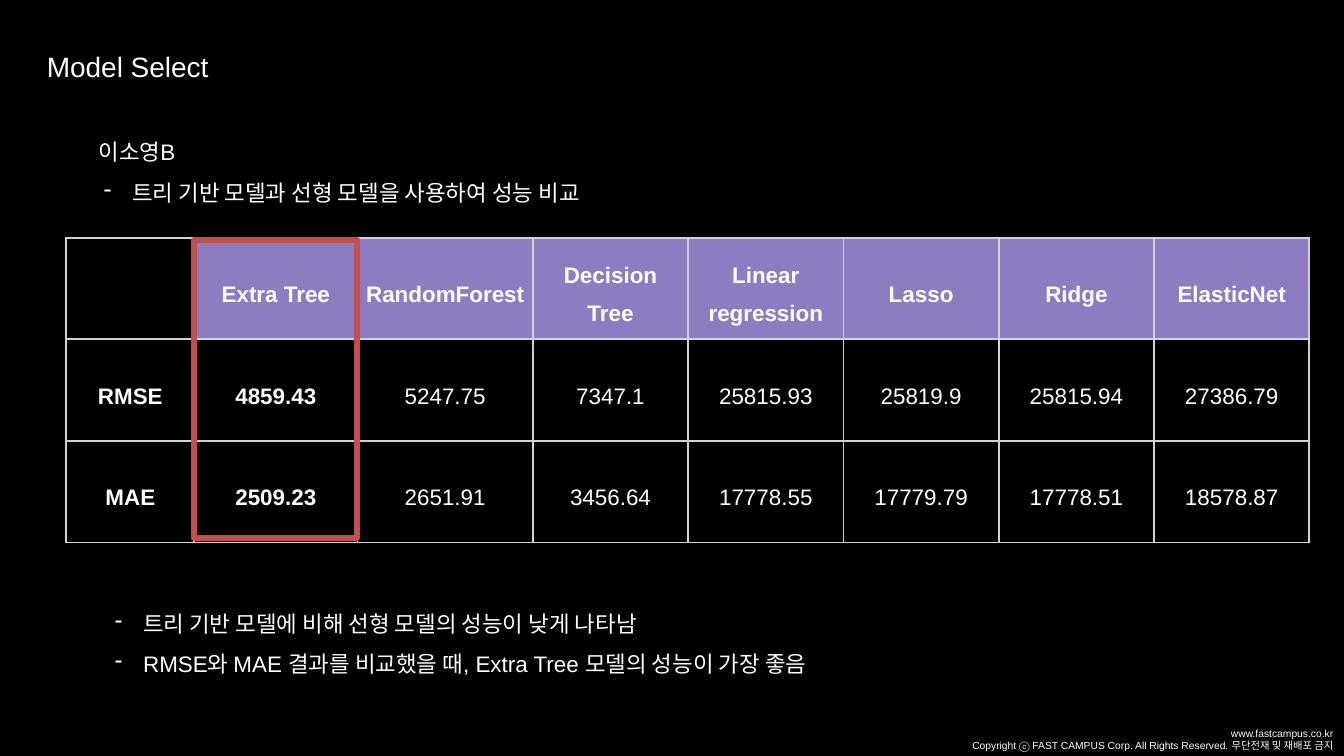
from dataclasses import dataclass

from lxml import etree
from pptx import Presentation
from pptx import util as u
from pptx.dml.color import RGBColor
from pptx.enum import shapes, text
from pptx.oxml import ns


@dataclass(frozen=True)
class Theme:
    font: str = "Arial"
    back: str = "000000"
    ink: str = "FFFFFF"
    head: str = "8E7CC3"
    grid: str = "D1D2D3"
    mark: str = "C0504D"
    title: int = 30
    body: int = 24
    small: int = 11


def rgb(code):
    return RGBColor.from_string(code)


def add(parent, tag, **attrs):
    return etree.SubElement(parent, ns.qn(tag), attrs)


class Deck:
    def __init__(self, theme, wide, high):
        self.theme = theme
        self.file = Presentation()
        self.file.slide_width, self.file.slide_height = u.Cm(wide), u.Cm(high)
        self.slide = self.file.slides.add_slide(self.file.slide_layouts[6])
        fill = self.slide.background.fill
        fill.solid()
        fill.fore_color.rgb = rgb(theme.back)

    def style(self, para, size, bold=False, align=None, space=None):
        para.alignment = align
        para.line_spacing = space
        font = para.font
        font.name, font.size, font.bold = self.theme.font, u.Pt(size), bold
        font.color.rgb = rgb(self.theme.ink)

    def bullet(self, para):
        props = para._p.get_or_add_pPr()
        props.set("marL", str(u.Cm(1.27)))
        props.set("indent", str(u.Cm(-1.07)))
        add(add(props, "a:buClr"), "a:srgbClr", val=self.theme.ink)
        add(props, "a:buChar", char="-")

    def text(self, left, top, wide, high, lines, size, align=None, space=None, pad=0.13):
        box = self.slide.shapes.add_textbox(*map(u.Cm, (left, top, wide, high)))
        frame = box.text_frame
        frame.word_wrap = True
        frame.auto_size = text.MSO_AUTO_SIZE.SHAPE_TO_FIT_TEXT
        frame.margin_top = frame.margin_bottom = u.Cm(pad)
        for i, line in enumerate(lines):
            para = frame.add_paragraph() if i else frame.paragraphs[0]
            para.text = line.removeprefix("- ")
            if line.startswith("- "):
                self.bullet(para)
            self.style(para, size, align=align, space=space)

    def border(self, cell):
        props = cell._tc.get_or_add_tcPr()
        for side in "LRTB":
            line = add(props, f"a:ln{side}", w=str(u.Pt(2.25)))
            add(add(line, "a:solidFill"), "a:srgbClr", val=self.theme.grid)

    def table(self, left, top, cols, high, rows):
        size = (left, top, sum(cols), high * len(rows))
        frame = self.slide.shapes.add_table(len(rows), len(cols), *map(u.Cm, size))
        grid = frame.table
        grid.first_row = grid.horz_banding = False
        for col, wide in zip(grid.columns, cols):
            col.width = u.Cm(wide)
        for r, row in enumerate(rows):
            grid.rows[r].height = u.Cm(high)
            for c, word in enumerate(row):
                self.cell(grid.cell(r, c), word, r == 0 and c > 0, r == 0 or c < 2)

    def cell(self, cell, word, head, bold):
        self.border(cell)
        if head:
            cell.fill.solid()
            cell.fill.fore_color.rgb = rgb(self.theme.head)
        else:
            cell.fill.background()
        cell.margin_left = cell.margin_right = u.Cm(0.25)
        cell.margin_top = cell.margin_bottom = u.Cm(0.25)
        cell.vertical_anchor = text.MSO_ANCHOR.MIDDLE
        para = cell.text_frame.paragraphs[0]
        para.text = word
        self.style(para, self.theme.body, bold, text.PP_ALIGN.CENTER, 1.5)

    def frame(self, left, top, wide, high):
        kind = shapes.MSO_SHAPE.RECTANGLE
        box = self.slide.shapes.add_shape(kind, *map(u.Cm, (left, top, wide, high)))
        box.shadow.inherit = False
        box.fill.background()
        box.line.color.rgb = rgb(self.theme.mark)
        box.line.width = u.Pt(6)


def main():
    theme = Theme()
    deck = Deck(theme, 50.8, 28.58)
    deck.text(25.91, 27.36, 24.74, 1.19, [
        "www.fastcampus.co.kr",
        "Copyright ⓒ FAST CAMPUS Corp. All Rights Reserved. 무단전재 및 재배포 금지",
    ], theme.small, align=text.PP_ALIGN.RIGHT)
    deck.text(1.52, 1.73, 48, 1.55, ["Model Select"], theme.title)
    deck.text(3.48, 4.6, 25.4, 2.82, [
        "이소영B",
        "- 트리 기반 모델과 선형 모델을 사용하여 성능 비교",
    ], theme.body, space=1.5)
    deck.table(2.51, 8.99, [4.83, 6.17, 6.63] + [5.87] * 5, 3.84, [
        ["", "Extra Tree", "RandomForest", "Decision Tree",
         "Linear regression", "Lasso", "Ridge", "ElasticNet"],
        ["RMSE", "4859.43", "5247.75", "7347.1",
         "25815.93", "25819.9", "25815.94", "27386.79"],
        ["MAE", "2509.23", "2651.91", "3456.64",
         "17778.55", "17779.79", "17778.51", "18578.87"],
    ])
    deck.frame(7.34, 9.07, 6.15, 11.28)
    deck.text(3.89, 22.3, 39.75, 3.07, [
        "- 트리 기반 모델에 비해 선형 모델의 성능이 낮게 나타남",
        "- RMSE와 MAE 결과를 비교했을 때, Extra Tree 모델의 성능이 가장 좋음",
    ], theme.body, space=1.5, pad=0.25)
    deck.file.save("out.pptx")


if __name__ == "__main__":
    main()
